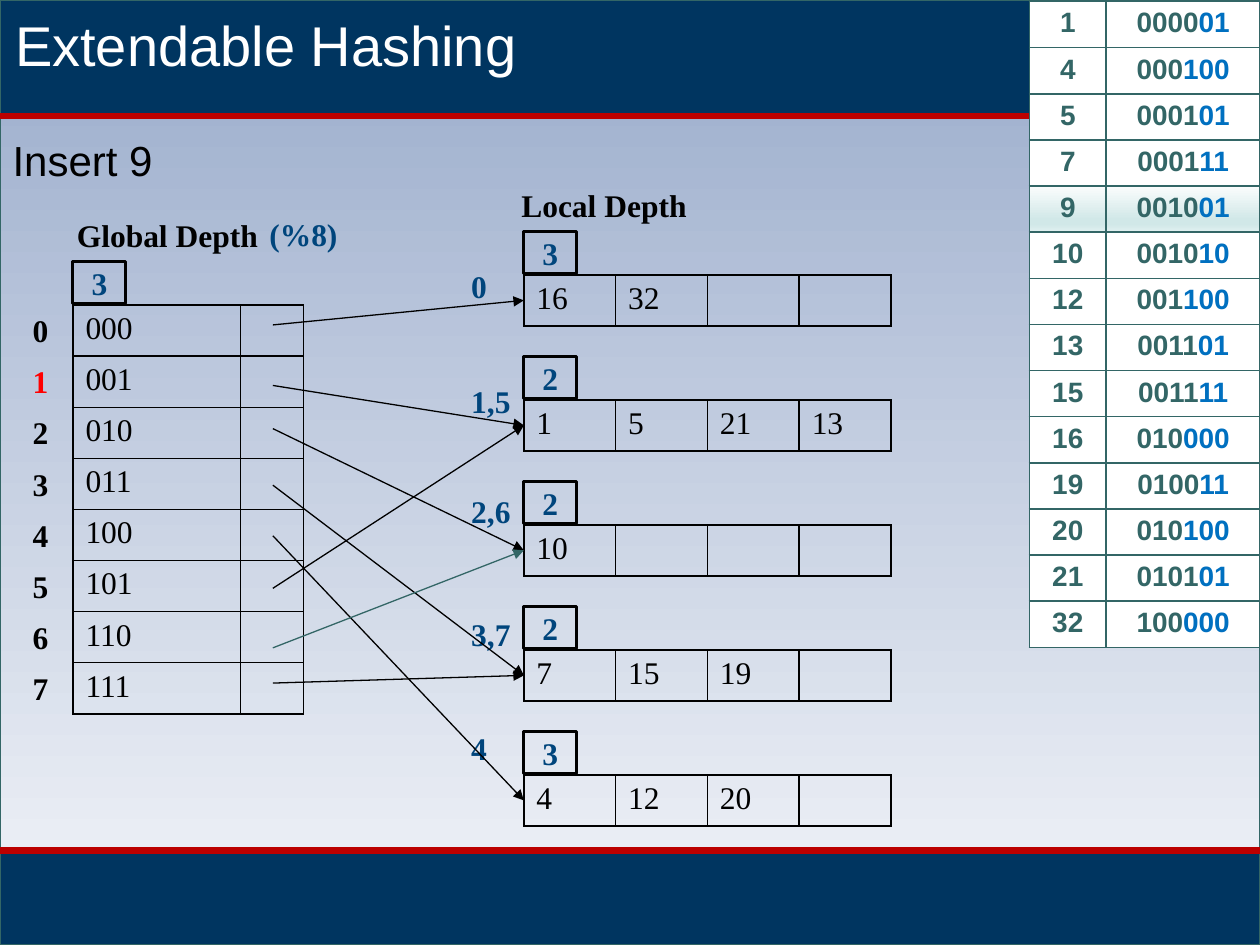
from lxml.etree import SubElement as Sub
from pptx import Presentation
from pptx.dml.color import RGBColor as Rgb
from pptx.enum.shapes import MSO_CONNECTOR as Line, MSO_SHAPE as Kind
from pptx.enum.text import MSO_ANCHOR as Anchor, PP_ALIGN as Align
from pptx.oxml.ns import qn
from pptx.util import Cm, Pt

HUES = {"navy": "003560", "red": "BC0000", "teal": "336666", "blue": "00457C",
        "bits": "0070C0", "black": "000000", "white": "FFFFFF", "hot": "FF0000"}
BACK = [(0, "99ABCB"), (100, "F3F5F9")]
GLOW = [(0, "FAFCFC"), (74, "D1E8E8"), (83, "D1E8E8"), (100, "E0F0F0")]
SANS, SERIF = "Arial", "Times New Roman"

# Key, leading bits, bits that the hash uses
KEYS = [("1", "0000", "01"), ("4", "000", "100"), ("5", "0001", "01"),
        ("7", "0001", "11"), ("9", "0010", "01"), ("10", "0010", "10"),
        ("12", "001", "100"), ("13", "0011", "01"), ("15", "0011", "11"),
        ("16", "010", "000"), ("19", "0100", "11"), ("20", "010", "100"),
        ("21", "0101", "01"), ("32", "100", "000")]
NEW = "9"
# Local depth, values, label, top of label
BUCKETS = [("3", ["16", "32", "", ""], "0", 5.26),
           ("2", ["1", "5", "21", "13"], "1,5", 7.57),
           ("2", ["10", "", "", ""], "2,6", 9.8),
           ("2", ["7", "15", "19", ""], "3,7", 12.27),
           ("3", ["4", "12", "20", ""], "4", 14.58)]
# Directory entry, bucket it points to, start of its arrow, arrow colour
SLOTS = [("000", 0, 6.55, "black"), ("001", 1, 7.77, "black"),
         ("010", 2, 8.64, "black"), ("011", 3, 9.78, "black"),
         ("100", 4, 10.8, "black"), ("101", 1, 11.86, "black"),
         ("110", 2, 13.06, "teal"), ("111", 3, 13.77, "black")]
HOT = 1

WIDE, HIGH = 25.4, 19.05
DIR_X, DIR_Y, DIR_ROW = 1.47, 6.15, 1.02
BUCK_X, BUCK_Y, BUCK_ROW, STEP = 10.56, 5.54, 1.03, 2.52

prs = Presentation()
prs.slide_width, prs.slide_height = Cm(WIDE), Cm(HIGH)
slide = prs.slides.add_slide(prs.slide_layouts[1])
shapes = slide.shapes


def hue(name):
    return Rgb.from_string(HUES[name])


def style(para, size, face, tint, bold=False):
    for run in para.runs:
        font = run.font
        font.size, font.name, font.bold = Pt(size), face, bold
        font.color.rgb = hue(tint)


def fade(fill, node, stops):
    """Give a fill a downward gradient; node is the XML that holds it."""
    fill.gradient()
    fill.gradient_angle = 270
    ramp = node.find(".//" + qn("a:gsLst"))
    for old in list(ramp):
        ramp.remove(old)
    for pos, tint in stops:
        stop = Sub(ramp, qn("a:gs"), pos=str(pos * 1000))
        Sub(stop, qn("a:srgbClr"), val=tint)


def rect(x, y, w, h, tint, width, fill=None):
    box = shapes.add_shape(Kind.RECTANGLE, Cm(x), Cm(y), Cm(w), Cm(h))
    box.shadow.inherit = False
    box.line.color.rgb, box.line.width = hue(tint), Pt(width)
    if fill:
        box.fill.solid()
        box.fill.fore_color.rgb = hue(fill)
    else:
        box.fill.background()
    return box


def link(x1, y1, x2, y2, tint, width, arrow=False):
    line = shapes.add_connector(Line.STRAIGHT, Cm(x1), Cm(y1), Cm(x2), Cm(y2))
    line.line.color.rgb, line.line.width = hue(tint), Pt(width)
    if arrow:
        Sub(line.line._get_or_add_ln(), qn("a:tailEnd"), type="triangle")
    Sub(line.element.spPr, qn("a:effectLst"))


def label(text, x, y, w, tint="black"):
    box = shapes.add_textbox(Cm(x), Cm(y), Cm(w), Cm(1.02))
    frame = box.text_frame
    frame.word_wrap = False
    frame.text = text
    style(frame.paragraphs[0], 18, SERIF, tint, True)


def depth(text, x, base):
    """Depth box standing on the top edge of a table."""
    box = rect(x, base - 0.87, 1.07, 0.84, "black", 1.75)
    frame = box.text_frame
    frame.margin_top = frame.margin_bottom = 0
    frame.vertical_anchor = Anchor.MIDDLE
    frame.text = text
    para = frame.paragraphs[0]
    para.alignment = Align.CENTER
    style(para, 18, SERIF, "blue", True)


def edge(cell, tint):
    props = cell._tc.get_or_add_tcPr()
    for i, side in enumerate(("lnL", "lnR", "lnT", "lnB")):
        line = Sub(props, qn("a:" + side), w="12700")
        Sub(Sub(line, qn("a:solidFill")), qn("a:srgbClr"), val=HUES[tint])
        props.insert(i, line)


def grid(rows, x, y, cols, high, tint, size, face):
    """Add a bordered, unfilled table and return it."""
    table = shapes.add_table(len(rows), len(cols), Cm(x), Cm(y),
                             Cm(sum(cols)), Cm(high * len(rows))).table
    table.first_row = table.horz_banding = False
    for col, wide in zip(table.columns, cols):
        col.width = Cm(wide)
    for r, row in enumerate(rows):
        table.rows[r].height = Cm(high)
        for c, text in enumerate(row):
            cell = table.cell(r, c)
            cell.fill.background()
            edge(cell, tint)
            cell.text = text
            para = cell.text_frame.paragraphs[0]
            style(para, size, face, tint)
            if not text:
                para.font.size = Pt(size)
    return table


# Backdrop
back = rect(0, 0, WIDE, HIGH, "teal", 0.75)
fade(back.fill, back.element.spPr, BACK)
for top, high in ((17.15, 1.9), (0, 2.34)):
    rect(0, top, WIDE, high, "teal", 0.75, "navy")
for y in (2.34, 17.15):
    link(0, y, WIDE, y, "red", 3.75)

# Title and task
body = slide.placeholders[1]
for hold, text, x, y, w, h, size, tint in (
        (shapes.title, "Extendable Hashing", 0.05, 0.07, 25.35, 1.63, 32, "white"),
        (body, "Insert 9", 0, 2.59, 16.3, 1.27, 24, "black")):
    shapes.element.append(hold.element)
    hold.left, hold.top, hold.width, hold.height = Cm(x), Cm(y), Cm(w), Cm(h)
    frame = hold.text_frame
    frame.text = text
    frame.vertical_anchor = Anchor.MIDDLE
    para = frame.paragraphs[0]
    props = para._p.get_or_add_pPr()
    props.set("marL", "0")
    props.set("indent", "0")
    para.space_before = Pt(0)
    Sub(props, qn("a:buNone"))
    para.alignment = Align.LEFT
    style(para, size, SANS, tint)

# Keys and their bits
table = grid([(key, head) for key, head, _ in KEYS], 20.75, 0.03,
             (1.55, 3.1), 0.93, "teal", 16, SANS)
for r, (key, _, tail) in enumerate(KEYS):
    for cell in table.rows[r].cells:
        if key == NEW:
            fade(cell.fill, cell._tc, GLOW)
        else:
            cell.fill.solid()
            cell.fill.fore_color.rgb = hue("white")
        para = cell.text_frame.paragraphs[0]
        para.alignment = Align.CENTER
        style(para, 16, SANS, "teal", True)
    run = para.add_run()
    run.text = tail
    style(para, 16, SANS, "teal", True)
    run.font.color.rgb = hue("bits")

# Directory
grid([(bits, "") for bits, *_ in SLOTS], DIR_X, DIR_Y, (3.38, 1.27),
     DIR_ROW, "black", 18, SERIF)
depth("3", DIR_X, DIR_Y)
for i in range(len(SLOTS)):
    label(str(i), 0.41, DIR_Y + i * 1.03, 0.84, "hot" if i == HOT else "black")

# Buckets
for i, (deep, vals, name, top) in enumerate(BUCKETS):
    y = BUCK_Y + i * STEP
    grid([vals], BUCK_X, y, [1.85] * 4, BUCK_ROW, "black", 18, SERIF)
    depth(deep, BUCK_X, y)
    label(name, 9.25, top, 0.84 if len(name) == 1 else 1.32, "blue")

for _, goal, y, tint in SLOTS:
    link(5.5, y, BUCK_X, BUCK_Y + goal * STEP + BUCK_ROW / 2, tint, 0.75, True)

label("Global Depth", 1.3, 4.24, 4.19)
label("Local Depth", 10.26, 3.63, 3.89)
label("(%8)", 5.18, 4.22, 1.9, "blue")

prs.save("out.pptx")
